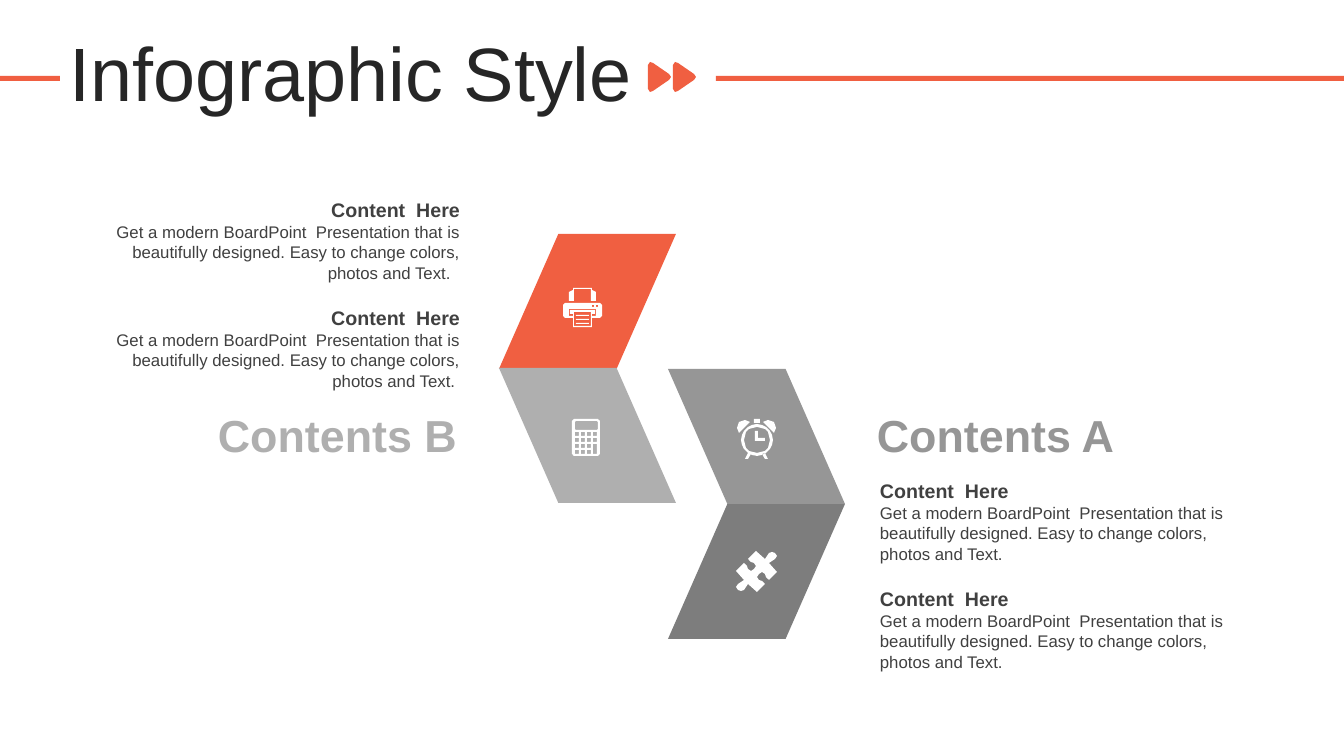
"""Build the Infographic Style slide with four chevron panels and two text columns."""
from math import cos, pi, sin

from pptx import Presentation
from pptx.dml.color import RGBColor
from pptx.enum.shapes import MSO_SHAPE
from pptx.enum.text import MSO_ANCHOR, MSO_AUTO_SIZE, PP_ALIGN
from pptx.util import Pt

PX = 12192000 / 1344
ORANGE = RGBColor(0xF0, 0x5F, 0x41)
LIGHT = RGBColor(0xAF, 0xAF, 0xAF)
MID = RGBColor(0x96, 0x96, 0x96)
DARK = RGBColor(0x7D, 0x7D, 0x7D)
WHITE = RGBColor(0xFF, 0xFF, 0xFF)
INK = RGBColor(0x26, 0x26, 0x26)
BODY = RGBColor(0x40, 0x40, 0x40)
RECT, SLANT = MSO_SHAPE.RECTANGLE, MSO_SHAPE.PARALLELOGRAM
LEFT, RIGHT = PP_ALIGN.LEFT, PP_ALIGN.RIGHT
TOP, MIDDLE = MSO_ANCHOR.TOP, MSO_ANCHOR.MIDDLE
NO_FIT = MSO_AUTO_SIZE.NONE
BLURB = ("Get a modern BoardPoint  Presentation that is beautifully designed. "
         "Easy to change colors, photos and Text.")


def px(*lengths):
    return [round(n * PX) for n in lengths]


def paint(sp, color):
    sp.shadow.inherit = False
    sp.fill.solid()
    sp.fill.fore_color.rgb = color
    sp.line.fill.background()


def block(s, kind, x, y, w, h, color):
    sp = s.shapes.add_shape(kind, *px(x, y, w, h))
    paint(sp, color)
    return sp


def outline(s, contours, color):
    builder = s.shapes.build_freeform(*contours[0][0], scale=PX)
    builder.add_line_segments(contours[0][1:], close=True)
    for points in contours[1:]:
        builder.move_to(*points[0])
        builder.add_line_segments(points[1:], close=True)
    paint(builder.convert_to_shape(), color)


def box(x, y, w, h):
    return [(x, y), (x + w, y), (x + w, y + h), (x, y + h)]


def soft_box(x, y, w, h, cut):
    r, b = x + w, y + h
    return [(x + cut, y), (r - cut, y), (r, y + cut), (r, b - cut),
            (r - cut, b), (x + cut, b), (x, b - cut), (x, y + cut)]


def ring(x, y, radius, steps):
    return [(x + radius * cos(2 * pi * i / steps), y + radius * sin(2 * pi * i / steps))
            for i in range(steps)]


def write(tf, text, size, color, bold=False, align=LEFT, anchor=MIDDLE):
    tf.word_wrap = True
    tf.auto_size = NO_FIT
    tf.vertical_anchor = anchor
    p = tf.paragraphs[0]
    p.alignment = align
    r = p.add_run()
    r.text = text
    r.font.name = "Arial"
    r.font.size = Pt(size)
    r.font.bold = bold
    r.font.color.rgb = color
    return p


def label(s, x, y, w, h, *args, **style):
    write(s.shapes.add_textbox(*px(x, y, w, h)).text_frame, *args, **style)


def header(s):
    for x in (673, 648):
        outline(s, [[(x, 65), (x + 2, 62), (x + 5, 63), (x + 21, 74), (x + 23, 77),
                     (x + 21, 80), (x + 5, 91), (x + 2, 92), (x, 89)]], ORANGE)
    for x, w in ((716, 628), (0, 60)):
        block(s, RECT, x, 76, w, 5, ORANGE)
    title = s.shapes.title
    title.left, title.top, title.width, title.height = px(59, 37, 1252, 80)
    write(title.text_frame, "Infographic Style", 54, INK).line_spacing = 0.9


def panel(s, x, y, color, flip=False):
    sp = block(s, SLANT, x, y, 177, 135, color)
    sp.adjustments[0] = 0.44
    if flip:
        sp._element.spPr.get_or_add_xfrm().set("flipV", "1")


def column(s, x, y, w, align, tails):
    for i, tail in enumerate(tails):
        top = y + 108 * i
        label(s, x, top, w, 34, "Content  Here", 14, BODY, bold=True, align=align)
        label(s, x, top + 24, w, 71, BLURB + tail, 12, BODY, align=align, anchor=TOP)


def clock(s):
    bell = [(750, 422), (745, 420), (739, 422), (737, 428), (739, 433)]
    leg = [(751, 454), (748, 459), (745, 459), (748, 453)]
    hands = [(755, 431), (758, 431), (758, 438), (765, 438), (765, 441), (755, 441)]
    mirrored = [[(1513 - x, y) for x, y in part] for part in (bell, leg)]
    outline(s, [ring(757, 440, 16, 20), ring(757, 440, 13, 20), hands,
                box(754, 419, 6, 4), bell, leg] + mirrored, WHITE)


def calculator(s):
    keys = [box(575 + 6 * col, 432 + 6 * row, 4, 4)
            for row in range(4) for col in range(4) if col < 3 or row < 2]
    outline(s, [soft_box(572, 419, 28, 37, 2), soft_box(575, 421, 23, 9, 1),
                box(593, 444, 4, 10)] + keys, WHITE)


def printer(s):
    feed = [(573, 288), (592, 288), (592, 290), (596, 292), (596, 301), (591, 301),
            (591, 289), (574, 289), (574, 301), (569, 301), (569, 292), (573, 290)]
    case = [(565, 303), (600, 303), (602, 305), (602, 316), (600, 318), (592, 318),
            (592, 327), (573, 327), (573, 318), (565, 318), (563, 316), (563, 305)]
    slot = [(569, 309), (569, 316), (573, 316), (573, 314), (570, 314), (570, 310),
            (595, 310), (595, 314), (592, 314), (592, 316), (596, 316), (596, 309)]
    buttons = [box(x, 305, 2, 2) for x in (592, 596)]
    lines = [box(576, 315 + 4 * i, 13, 1) for i in range(3)]
    outline(s, [feed, case, slot, box(574, 312, 17, 14)] + buttons + lines, WHITE)


def puzzle(s):
    half = [(765, 559), (767, 556), (769, 553), (772, 552), (775, 553), (777, 556),
            (775, 559), (772, 561), (769, 563), (777, 572), (769, 580), (766, 577),
            (765, 574), (762, 572), (759, 574), (757, 577), (759, 580), (762, 581),
            (765, 584), (757, 592)]
    outline(s, [half + [(1513 - x, 1143 - y) for x, y in half]], WHITE)


def main():
    prs = Presentation()
    prs.slide_width, prs.slide_height = px(1344, 756)
    s = prs.slides.add_slide(prs.slide_layouts[5])
    header(s)
    panel(s, 668, 504, DARK)
    panel(s, 668, 369, MID, flip=True)
    panel(s, 499, 234, ORANGE)
    panel(s, 499, 368, LIGHT, flip=True)
    column(s, 870, 474, 381, LEFT, ("", ""))
    label(s, 867, 402, 312, 65, "Contents A", 32, MID, bold=True)
    column(s, 82, 193, 388, RIGHT, ("  ", " "))
    label(s, 166, 402, 301, 65, "Contents B", 32, LIGHT, bold=True, align=RIGHT)
    for icon in (clock, calculator, printer, puzzle):
        icon(s)
    prs.save("out.pptx")


if __name__ == "__main__":
    main()
